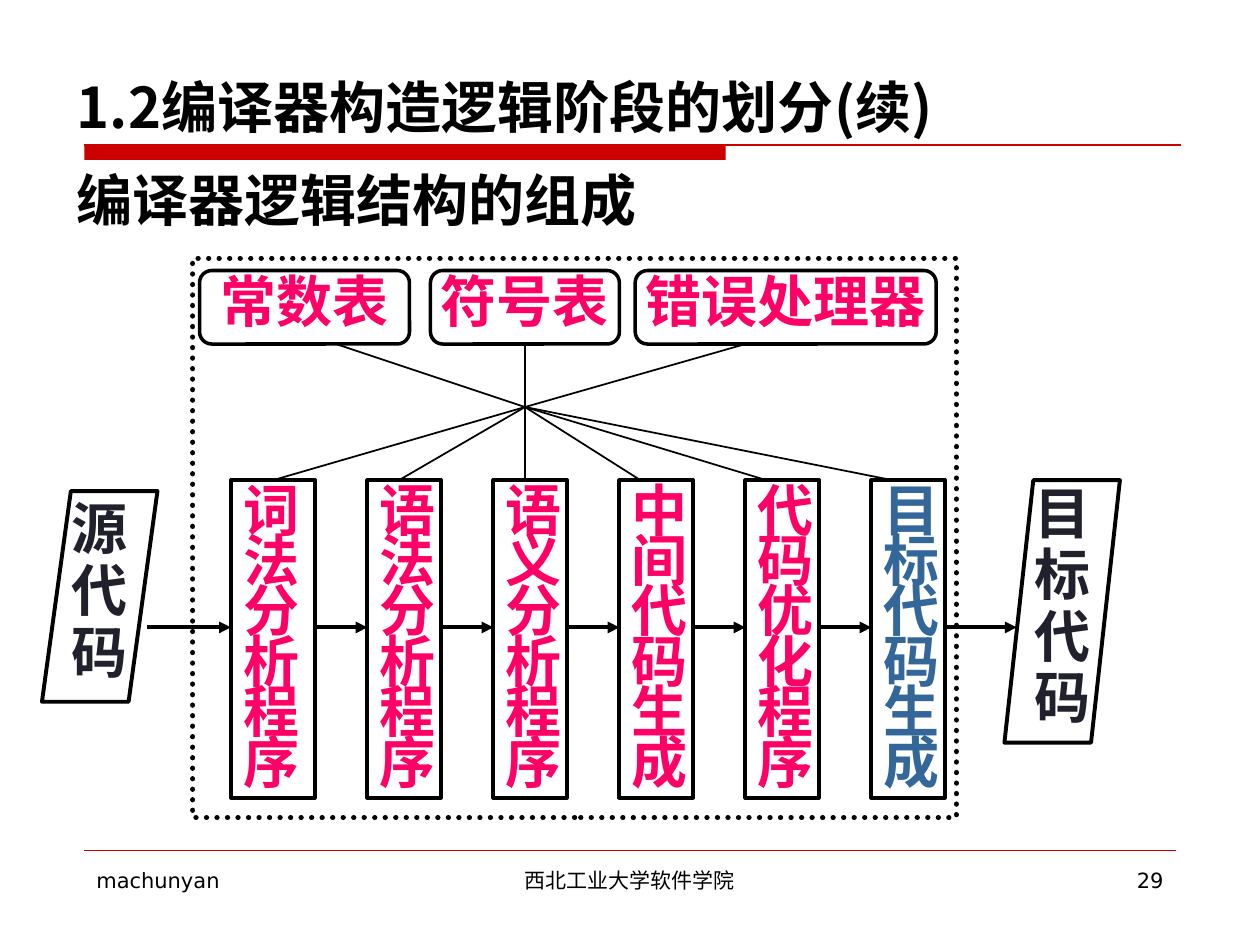
from pptx import Presentation
from pptx.dml.color import RGBColor
from pptx.enum.dml import MSO_LINE
from pptx.enum.shapes import MSO_CONNECTOR, MSO_SHAPE
from pptx.enum.text import MSO_ANCHOR as Anchor, PP_ALIGN as Align
from pptx.oxml.ns import qn
from pptx.util import Pt
from lxml.etree import SubElement

BLACK, WHITE, RED = "000000", "FFFFFF", "CC0000"
PINK, BLUE, DARK = "FF0066", "336699", "21212D"
SANS, CJK, SERIF = "DejaVu Sans", "Noto Sans CJK JP", "Times New Roman"

STAGE_TOP, STAGE_HEIGHT, STAGE_STEP = 274.4, 181.4, 72
ARROW_Y = 358.5
HUB = (300, 232.6)


def color(hex_string):
    return RGBColor.from_string(hex_string)


def write(shape, lines, size, font, ink, bold=False, align=Align.LEFT,
          anchor=Anchor.TOP, wrap=True, spacing=None, gap=0):
    frame = shape.text_frame
    frame.word_wrap = wrap
    frame.vertical_anchor = anchor
    for index, line in enumerate(lines):
        paragraph = frame.add_paragraph() if index else frame.paragraphs[0]
        paragraph.alignment = align
        if spacing:
            paragraph.line_spacing = spacing
        if index and gap:
            paragraph.space_before = Pt(gap)
        run = paragraph.add_run()
        run.text = line
        run.font.size = Pt(size)
        run.font.bold = bold
        run.font.color.rgb = color(ink)
        run.font.name = font
        # Chinese characters are always set in a sans face
        east_asian = SANS if font == SERIF else font
        SubElement(run.font._element, qn("a:ea")).set("typeface", east_asian)


def add_text(slide, box, text, size, font, **style):
    shape = slide.shapes.add_textbox(*map(Pt, box))
    write(shape, [text], size, font, BLACK, **style)


def add_box(slide, kind, box, line_width=2.25, fill=WHITE, adjust=None):
    shape = slide.shapes.add_shape(kind, *map(Pt, box))
    shape.shadow.inherit = False
    shape.fill.solid()
    shape.fill.fore_color.rgb = color(fill)
    if line_width:
        shape.line.color.rgb = color(BLACK)
        shape.line.width = Pt(line_width)
    else:
        shape.line.fill.background()
    if adjust:
        shape.adjustments[0] = adjust
    return shape


def add_line(slide, start, end, width, ink=BLACK, arrow=False):
    connector = slide.shapes.add_connector(
        MSO_CONNECTOR.STRAIGHT, *map(Pt, (*start, *end)))
    connector.line.color.rgb = color(ink)
    connector.line.width = Pt(width)
    if arrow:
        line = connector.line._get_or_add_ln()
        SubElement(line, qn("a:tailEnd")).set("type", "triangle")
    SubElement(connector._element.spPr, qn("a:effectLst"))
    return connector


def add_label_box(slide, kind, box, lines, ink, line_width, adjust):
    shape = add_box(slide, kind, box, line_width, adjust=adjust)
    write(shape, lines, 32, SERIF, ink, bold=True, align=Align.CENTER,
          anchor=Anchor.MIDDLE, wrap=False, spacing=0.75, gap=6.4)
    return shape


def add_stage(slide, left, width, text, ink):
    shape = add_box(slide, MSO_SHAPE.RECTANGLE,
                    (left, STAGE_TOP, width, STAGE_HEIGHT))
    write(shape, [text], 32, SERIF, ink, bold=True, spacing=0.75)
    shape.text_frame.margin_top = Pt(6)
    return shape


def main():
    presentation = Presentation()
    presentation.slide_width, presentation.slide_height = Pt(720), Pt(540)
    slide = presentation.slides.add_slide(presentation.slide_layouts[6])

    # Title rule and footer
    add_box(slide, MSO_SHAPE.RECTANGLE, (48.2, 82.8, 366.5, 8.6), 0, RED)
    add_line(slide, (48.2, 82.8), (674.6, 82.8), 0.75, RED)
    add_line(slide, (48, 486), (672, 486), 0.25, RED)
    add_text(slide, (48, 492, 155, 37.5), "machunyan", 12, SANS)
    add_text(slide, (246, 492, 228, 37.5), "西北工业大学软件学院", 12, SANS,
             align=Align.CENTER)
    add_text(slide, (516, 492, 156, 37.5), "29", 12, SANS, align=Align.RIGHT)

    # Headings
    heading = dict(bold=True, anchor=Anchor.BOTTOM)
    add_text(slide, (36.8, 39.6, 584.6, 44), "1.2编译器构造逻辑阶段的划分(续)",
             32, CJK, **heading)
    add_text(slide, (36.8, 88.6, 444, 48.2), "编译器逻辑结构的组成",
             32, CJK, **heading)

    # Compiler frame with round dots
    frame = add_box(slide, MSO_SHAPE.RECTANGLE, (110.2, 147.6, 436.3, 319.7), 3)
    frame.line.dash_style = MSO_LINE.ROUND_DOT
    frame.line._get_or_add_ln().set("cap", "rnd")

    # Compiler stages; the first is a little wider than the rest
    names = ["词法分析程序", "语法分析程序", "语义分析程序",
             "中间代码生成", "代码优化程序", "目标代码生成"]
    spans = [(132, 48)] + [(210 + STAGE_STEP * i, 42) for i in range(5)]
    stages = [add_stage(slide, left, width, name,
                        BLUE if name == names[-1] else PINK)
              for (left, width), name in zip(spans, names)]

    # Input and output code
    for box, text in [((24, 280.6, 66, 120.4), "源代码"),
                      ((574, 274.4, 66, 150), "目标代码")]:
        add_label_box(slide, MSO_SHAPE.PARALLELOGRAM, box, list(text),
                      DARK, 2.25, 0.25)

    # Shared tables and error handler
    tables = [add_label_box(slide, MSO_SHAPE.ROUNDED_RECTANGLE,
                            (left, 154.6, width, 42), [text], PINK, 2, 0.167)
              for left, width, text in [(114, 120, "常数表"),
                                        (246, 108, "符号表"),
                                        (363, 172, "错误处理器")]]

    # Arrows along the pipeline
    starts = [84] + [left + width for left, width in spans]
    ends = [left for left, _ in spans] + [581]
    for start, end in zip(starts, ends):
        add_line(slide, (start, ARROW_Y), (end, ARROW_Y), 2.25, arrow=True)

    # Lines meeting at the hub
    table_lines = [add_line(slide, (x, 196.6), HUB, 1) for x in (192, 300, 426)]
    table_lines[1].begin_connect(tables[1], 2)
    stage_lines = [add_line(slide, (x, STAGE_TOP), HUB, 1)
                   for x in (156, 228, 300, 366, 438, 510)]
    stage_lines[0].begin_connect(stages[0], 0)

    presentation.save("out.pptx")


if __name__ == "__main__":
    main()
